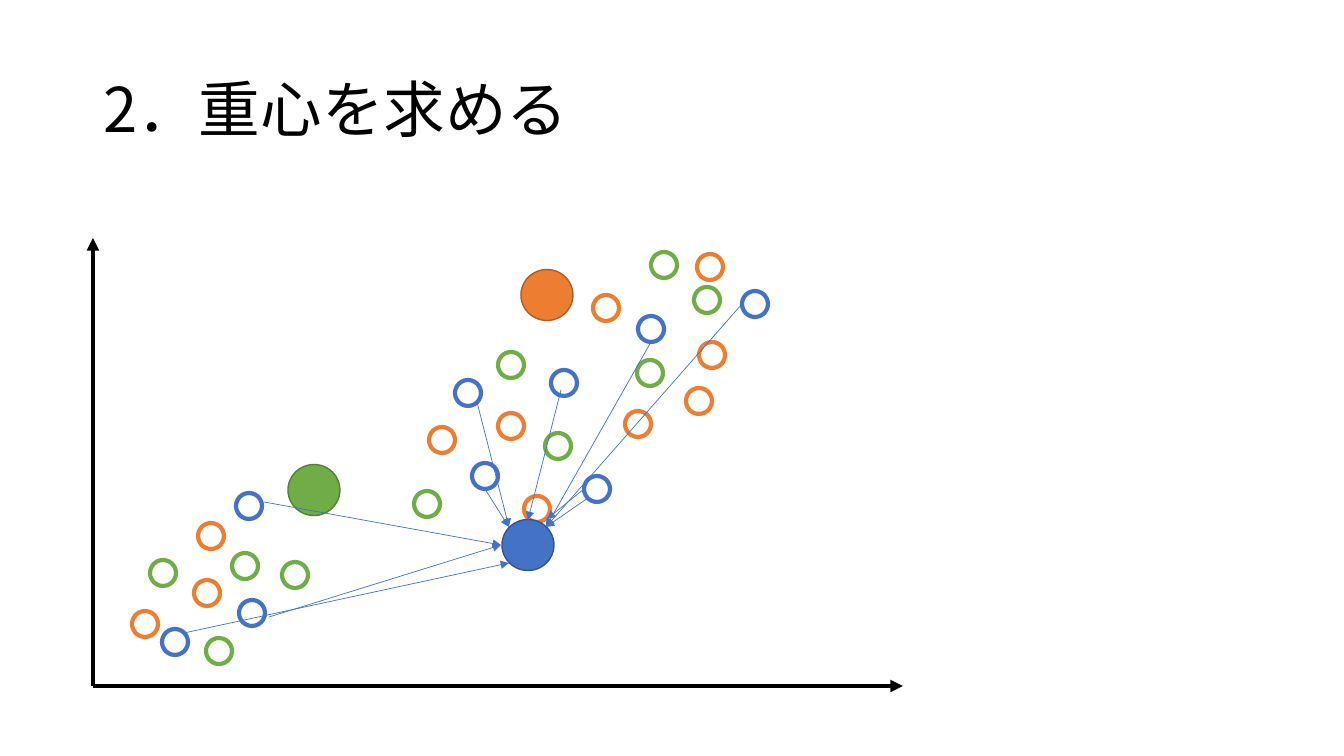
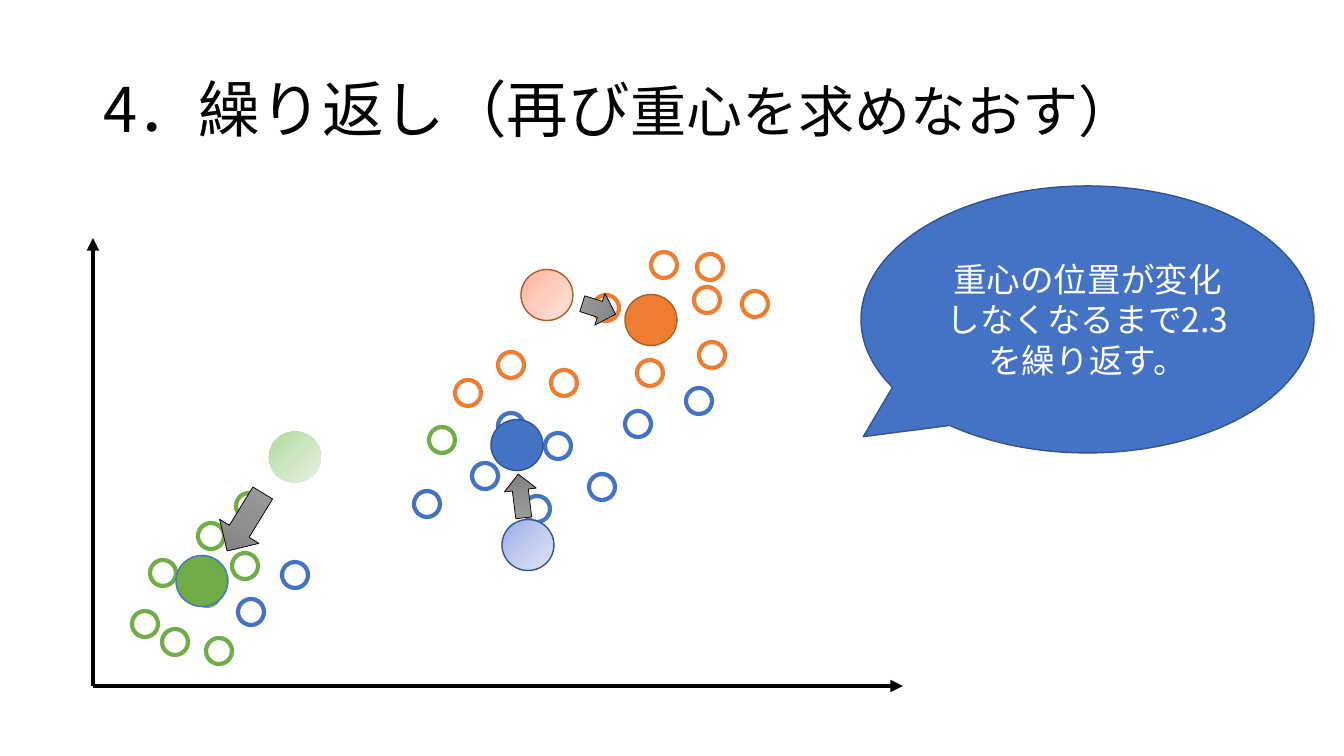
import copy
import pptx
import pptx.util
import pptx.dml.color
import pptx.enum.shapes
import pptx.enum.text
import pptx.oxml.ns
import pptx.oxml.xmlchemy

FONT = "Noto Sans CJK JP"
HEX = {
    "B": "4472C4", "O": "ED7D31", "G": "70AD47",
    "Bedge": "325491", "Oedge": "AF5C24", "Gedge": "538035",
    "ink": "000000", "paper": "FFFFFF",
}
FADE = {
    "G": ["AEDA9B", "CDE6C2", "E6F2E1"],
    "B": ["96ABEA", "C0CBF0", "E0E5F7"],
    "O": ["FFB297", "FFCEBF", "FFE6E0"],
    "grey": ["9D9D9D", "909090", "7C7C7C"],
}
DOTS = [
    (755, 304), (145, 624), (564, 383), (485, 476), (597, 489),
    (468, 393), (252, 613), (249, 506), (175, 642), (651, 329),
    (606, 308), (712, 355), (638, 424), (710, 267), (699, 401),
    (442, 440), (511, 426), (537, 509), (211, 536), (207, 593),
    (650, 373), (707, 300), (664, 265), (295, 575), (558, 446),
    (511, 365), (427, 504), (163, 573), (219, 651), (245, 566),
]
AXES = [((93, 686), (93, 238)), ((93, 686), (903, 686))]
TITLE = (93, 40, 1159, 146)
DOT, HUB = (26, 26), (52, 51)

SLIDES = [
    {
        "title": [("2．重心を求める", 44)],
        "dots": "BO" + "B" * 8 + "O" * 10 + "G" * 10,
        "moved": {},
        "hubs": [("G", (314, 490), "Gedge"), ("O", (547, 295), "Oedge"),
                 ("B", (528, 545), "Bedge")],
        "old": [],
        "pulls": [
            ((742, 304), (546, 527)), ((477, 402), (509, 527)),
            ((561, 390), (528, 520)), ((269, 617), (501, 545)),
            ((264, 502), (501, 545)), ((584, 489), (547, 519)),
            ((184, 633), (509, 563)), ((651, 342), (546, 527)),
            ((485, 489), (509, 527)), ((588, 498), (546, 527)),
        ],
        "shifts": [],
        "note": None,
    },
    {
        "title": [("4．繰り返し（再び", 44), ("重心を求めなおす）", 40)],
        "dots": "OGOBBOBGGO" "OOBOBGBBGG" "OOOBBOBGGG",
        "moved": {4: (602, 487), 6: (251, 612)},
        "hubs": [("G", (202, 581), "B"), ("O", (651, 320), "Oedge"),
                 ("B", (517, 445), "Bedge")],
        "old": [("G", (295, 457), None), ("B", (528, 545), "Bedge"),
                ("O", (547, 295), "Oedge")],
        "pulls": [],
        "shifts": [((245, 522), (46, 68), 31.5), ((521, 496), (32, 44), 172.9),
                   ((599, 309), (33, 35), 287.6)],
        "note": ("重心の位置が変化しなくなるまで2.3を繰り返す。", (861, 186, 453, 267)),
    },
]

KIND = pptx.enum.shapes.MSO_SHAPE
ALIGN = pptx.enum.text.PP_ALIGN
MIDDLE = pptx.enum.text.MSO_ANCHOR.MIDDLE
Pt = pptx.util.Pt
qn = pptx.oxml.ns.qn


def px(n):
    return round(n * 914400 / 100.8)


def rgb(name):
    return pptx.dml.color.RGBColor.from_string(HEX.get(name, name))


def child(node, tag, **attrs):
    part = node.makeelement(qn(tag), attrs)
    node.append(part)
    return part


def write(para, text, size, tone):
    run = para.add_run()
    run.text = text
    run.font.size = Pt(size)
    run.font.name = FONT
    run.font.color.rgb = rgb(tone)
    latin = run.font._element.find(qn("a:latin"))
    latin.addnext(latin.makeelement(qn("a:ea"), {"typeface": FONT}))


def arrow(slide, start, end, tone, width):
    line = slide.shapes.add_connector(
        pptx.enum.shapes.MSO_CONNECTOR.STRAIGHT, *map(px, start + end))
    line.line.color.rgb = rgb(tone)
    line.line.width = Pt(width)
    props = line._element.spPr
    child(props.find(qn("a:ln")), "a:tailEnd", type="triangle")
    child(props, "a:effectLst")


def blend(fill, tones, angle):
    fill.gradient()
    fill.gradient_angle = 360 - angle
    last = fill.gradient_stops[1]._gs
    last.addnext(copy.deepcopy(last))
    for i, (stop, tone) in enumerate(zip(fill.gradient_stops, tones)):
        stop.position = i / 2
        stop.color.rgb = rgb(tone)


def shape(slide, kind, box, fill, edge, width, angle=45):
    item = slide.shapes.add_shape(kind, *map(px, box))
    item.shadow.inherit = False
    if isinstance(fill, list):
        blend(item.fill, fill, angle)
    else:
        item.fill.solid()
        item.fill.fore_color.rgb = rgb(fill)
    if edge:
        item.line.color.rgb = rgb(edge)
        item.line.width = Pt(width)
    else:
        item.line.fill.background()
    return item


def around(mid, size):
    return (mid[0] - size[0] / 2, mid[1] - size[1] / 2) + size


def head(slide, runs):
    title = slide.shapes.title
    title.left, title.top, title.width, title.height = map(px, TITLE)
    title.text_frame.vertical_anchor = MIDDLE
    title.text_frame.word_wrap = True
    para = title.text_frame.paragraphs[0]
    para.alignment = ALIGN.LEFT
    para.line_spacing = 0.9
    for text, size in runs:
        write(para, text, size, "ink")


def callout(slide, text, box):
    note = shape(slide, KIND.OVAL_CALLOUT, box, "B", "Bedge", 1)
    note.adjustments[0], note.adjustments[1] = -0.495, 0.439
    note.text_frame.word_wrap = True
    note.text_frame.vertical_anchor = MIDDLE
    para = note.text_frame.paragraphs[0]
    para.alignment = ALIGN.CENTER
    write(para, text, 24, "paper")


def build(deck, data):
    slide = deck.slides.add_slide(deck.slide_layouts[5])
    head(slide, data["title"])
    for start, end in AXES:
        arrow(slide, start, end, "ink", 3)
    for i, (mid, tone) in enumerate(zip(DOTS, data["dots"])):
        spot = data["moved"].get(i, mid)
        shape(slide, KIND.OVAL, around(spot, DOT), "paper", tone, 3)
    for tone, mid, edge in data["hubs"]:
        shape(slide, KIND.OVAL, around(mid, HUB), tone, edge, 1)
    for tone, mid, edge in data["old"]:
        shape(slide, KIND.OVAL, around(mid, HUB), FADE[tone], edge, 1)
    for start, end in data["pulls"]:
        arrow(slide, start, end, "B", 0.5)
    for mid, size, turn in data["shifts"]:
        block = shape(slide, KIND.DOWN_ARROW, around(mid, size),
                      FADE["grey"], "ink", 0.5, 90)
        block.rotation = turn
    if data["note"]:
        callout(slide, *data["note"])


deck = pptx.Presentation()
deck.slide_width, deck.slide_height = px(1344), px(756)
for data in SLIDES:
    build(deck, data)
deck.save("out.pptx")
